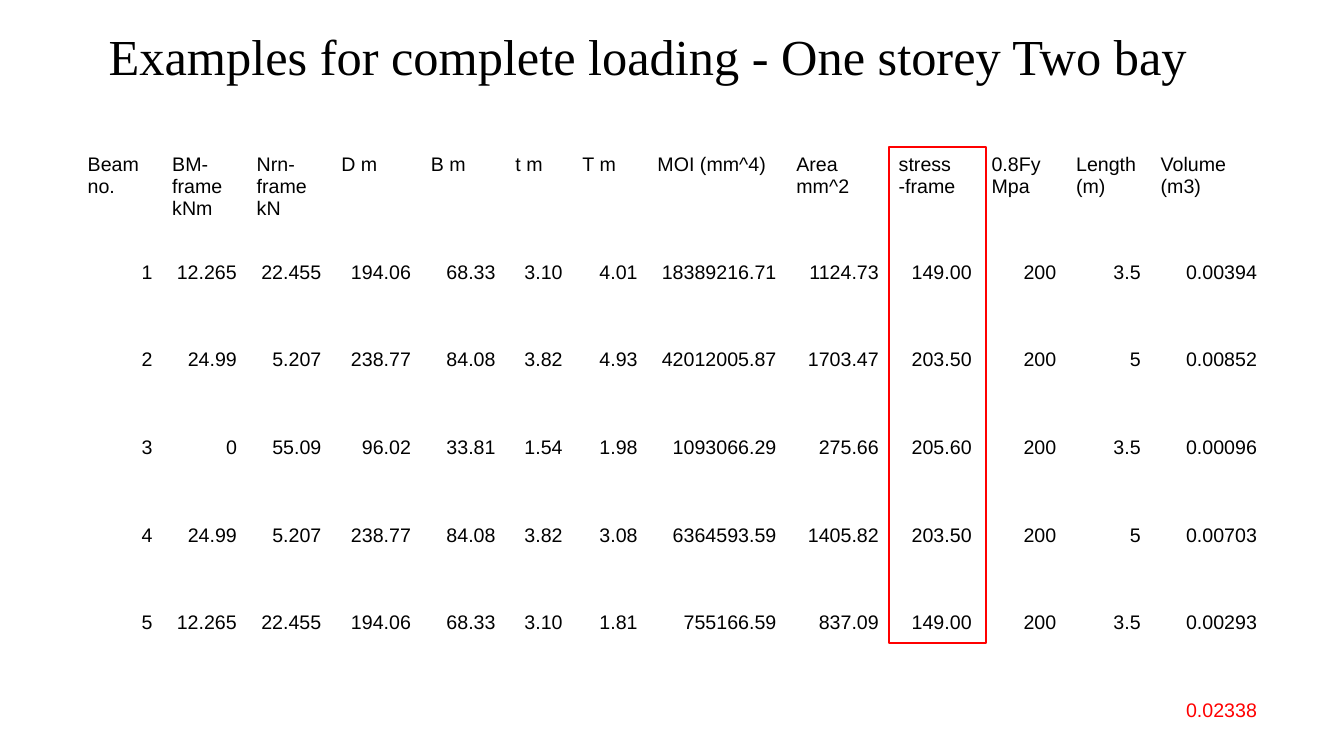
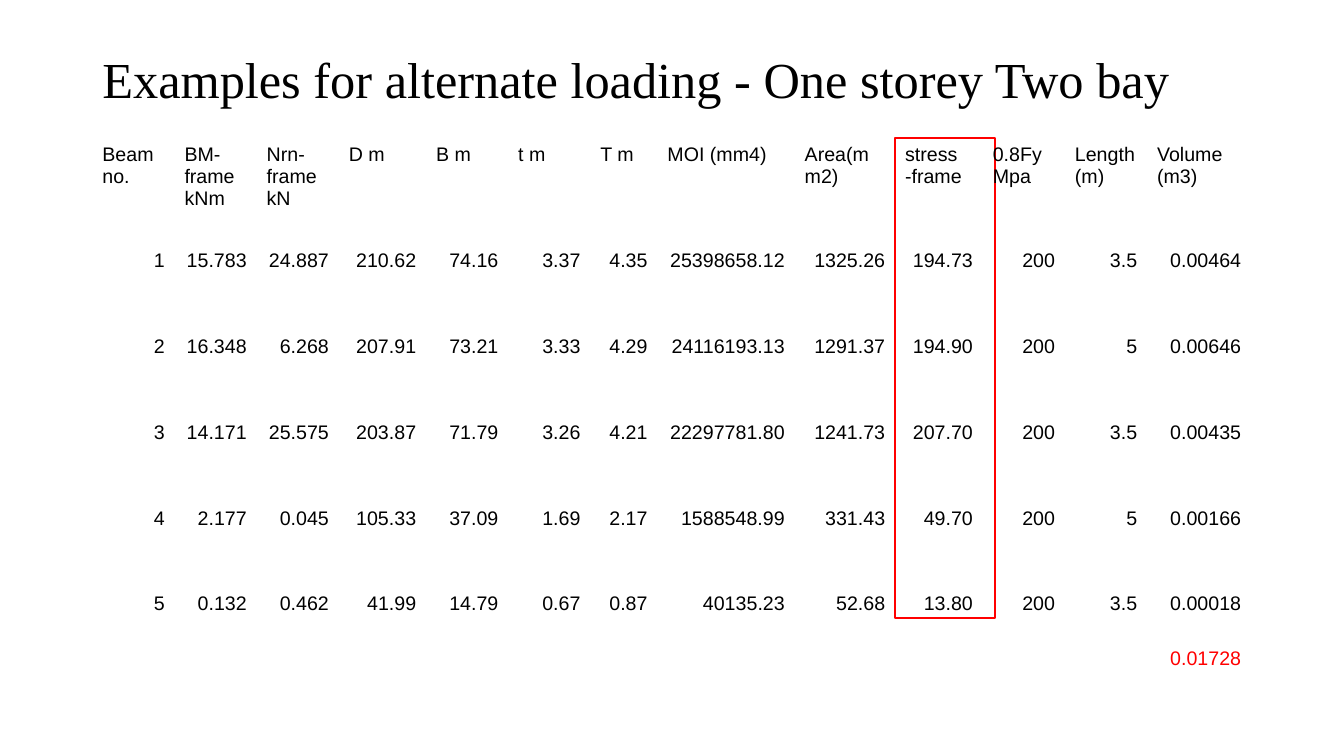
from pptx import Presentation
from pptx.dml.color import RGBColor
from pptx.enum.shapes import MSO_SHAPE
from pptx.enum.text import MSO_ANCHOR, PP_ALIGN
from pptx.oxml.ns import qn
from pptx.util import Cm, Pt

RECTANGLE = MSO_SHAPE.RECTANGLE
MIDDLE = MSO_ANCHOR.MIDDLE
LEFT, RIGHT = PP_ALIGN.LEFT, PP_ALIGN.RIGHT

BLACK = RGBColor(0x00, 0x00, 0x00)
RED = RGBColor(0xFF, 0x00, 0x00)
TITLE_FONT, TABLE_FONT = "Times New Roman", "Arial"
NO_GRID_STYLE = "{2D5ABB26-0587-4C30-8999-92F81FD0307C}"
CELL_MARGIN = Cm(0.25)
STRESS_COLUMN = 9

COMPLETE_ROWS = [
    ["Beam no.", "BM-frame kNm", "Nrn-frame kN", "D m", "B m", "t m", "T m",
     "MOI (mm^4)", "Area mm^2", "stress -frame", "0.8Fy Mpa", "Length (m)", "Volume (m3)"],
    ["1", "12.265", "22.455", "194.06", "68.33", "3.10", "4.01",
     "18389216.71", "1124.73", "149.00", "200", "3.5", "0.00394"],
    ["2", "24.99", "5.207", "238.77", "84.08", "3.82", "4.93",
     "42012005.87", "1703.47", "203.50", "200", "5", "0.00852"],
    ["3", "0", "55.09", "96.02", "33.81", "1.54", "1.98",
     "1093066.29", "275.66", "205.60", "200", "3.5", "0.00096"],
    ["4", "24.99", "5.207", "238.77", "84.08", "3.82", "3.08",
     "6364593.59", "1405.82", "203.50", "200", "5", "0.00703"],
    ["5", "12.265", "22.455", "194.06", "68.33", "3.10", "1.81",
     "755166.59", "837.09", "149.00", "200", "3.5", "0.00293"],
    [""] * 12 + ["0.02338"],
]
ALTERNATE_ROWS = [
    ["Beam no.", "BM-frame kNm", "Nrn-frame kN", "D m", "B m", "t m", "T m",
     "MOI (mm4)", "Area(mm2)", "stress -frame", "0.8Fy Mpa", "Length (m)", "Volume (m3)"],
    ["1", "15.783", "24.887", "210.62", "74.16", "3.37", "4.35",
     "25398658.12", "1325.26", "194.73", "200", "3.5", "0.00464"],
    ["2", "16.348", "6.268", "207.91", "73.21", "3.33", "4.29",
     "24116193.13", "1291.37", "194.90", "200", "5", "0.00646"],
    ["3", "14.171", "25.575", "203.87", "71.79", "3.26", "4.21",
     "22297781.80", "1241.73", "207.70", "200", "3.5", "0.00435"],
    ["4", "2.177", "0.045", "105.33", "37.09", "1.69", "2.17",
     "1588548.99", "331.43", "49.70", "200", "5", "0.00166"],
    ["5", "0.132", "0.462", "41.99", "14.79", "0.67", "0.87",
     "40135.23", "52.68", "13.80", "200", "3.5", "0.00018"],
    [""] * 12 + ["0.01728"],
]
COMPLETE_WIDTHS = [2.13, 2.13, 2.13, 2.26, 2.13, 1.69, 1.89, 3.5, 2.58, 2.34, 2.13, 2.13, 2.93]
ALTERNATE_WIDTHS = [2.07, 2.07, 2.07, 2.2, 2.07, 2.07, 1.69, 3.46, 2.53, 2.21, 2.07, 2.07, 2.62]
COMPLETE_HEIGHTS = [2.64] + [2.21] * 5 + [1.39]
ALTERNATE_HEIGHTS = [2.59] + [2.16] * 4 + [1.37] * 2


def add_span(para, text, font, size, color):
    span = para.add_run()
    span.text = text
    span.font.name = font
    span.font.size = Pt(size)
    span.font.color.rgb = color


def add_title(page, text, left, top):
    box = page.shapes.add_textbox(Cm(left), Cm(top), Cm(29.21), Cm(2.6))
    frame = box.text_frame
    frame.word_wrap = True
    frame.vertical_anchor = MIDDLE
    para = frame.paragraphs[0]
    para.line_spacing = 0.9
    add_span(para, text, TITLE_FONT, 36, BLACK)


def add_stress_frame(page, left, top, width, height):
    """Outline the stress column in red."""
    box = page.shapes.add_shape(RECTANGLE, Cm(left), Cm(top), Cm(width), Cm(height))
    box.shadow.inherit = False
    box.fill.background()
    box.line.color.rgb = RED
    box.line.width = Pt(1.5)


def fill_cell(cell, text, is_header, color):
    cell.fill.background()
    cell.margin_left = cell.margin_right = CELL_MARGIN
    cell.margin_top = cell.margin_bottom = CELL_MARGIN
    if not text:
        return
    para = cell.text_frame.paragraphs[0]
    para.alignment = LEFT if is_header else RIGHT
    if not is_header:
        para.line_spacing = 1.15
    add_span(para, text, TABLE_FONT, 14, color)


def add_beam_table(page, left, top, widths, heights, rows):
    table = page.shapes.add_table(
        len(rows), len(widths), Cm(left), Cm(top), Cm(sum(widths)), Cm(sum(heights))
    ).table
    table.first_row = table.horz_banding = False
    table._tbl.tblPr.find(qn("a:tableStyleId")).text = NO_GRID_STYLE
    for column, width in zip(table.columns, widths):
        column.width = Cm(width)
    for row, height in zip(table.rows, heights):
        row.height = Cm(height)
    total_row = len(rows) - 1
    for row_index, values in enumerate(rows):
        color = RED if row_index == total_row else BLACK
        for column_index, text in enumerate(values):
            fill_cell(table.cell(row_index, column_index), text, row_index == 0, color)


def add_loading_page(deck, title, title_at, table_at, widths, heights, rows, frame_size):
    page = deck.slides.add_slide(deck.slide_layouts[6])
    left, top = table_at
    add_title(page, title, *title_at)
    add_stress_frame(page, left + sum(widths[:STRESS_COLUMN]), top + 0.1, *frame_size)
    add_beam_table(page, left, top, widths, heights, rows)


def main():
    deck = Presentation()
    deck.slide_width, deck.slide_height = Cm(33.87), Cm(19.05)
    add_loading_page(
        deck, "Examples for complete loading - One storey Two bay", (2.49, 0.18),
        (1.96, 3.61), COMPLETE_WIDTHS, COMPLETE_HEIGHTS, COMPLETE_ROWS, (2.46, 12.5))
    add_loading_page(
        deck, "Examples for alternate loading - One storey Two bay", (2.33, 0.78),
        (2.33, 3.38), ALTERNATE_WIDTHS, ALTERNATE_HEIGHTS, ALTERNATE_ROWS, (2.52, 12.1))
    deck.save("out.pptx")


if __name__ == "__main__":
    main()
